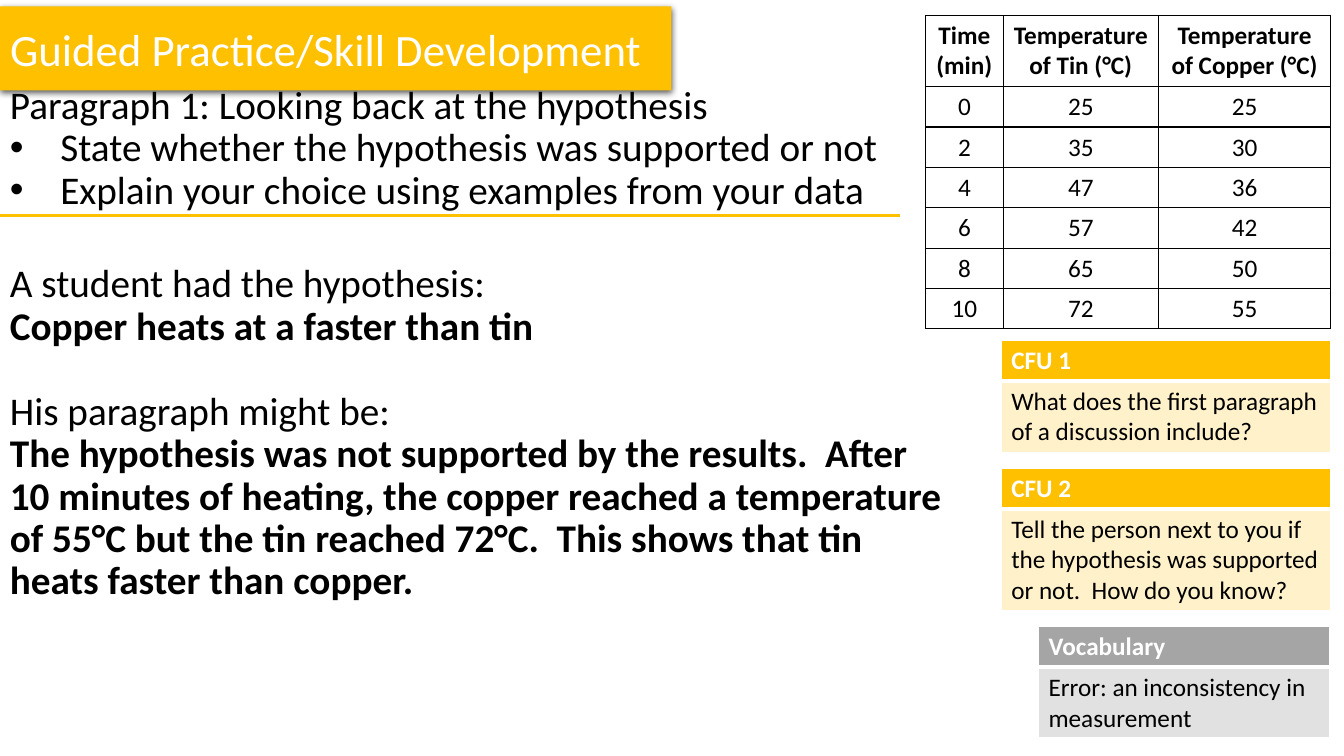
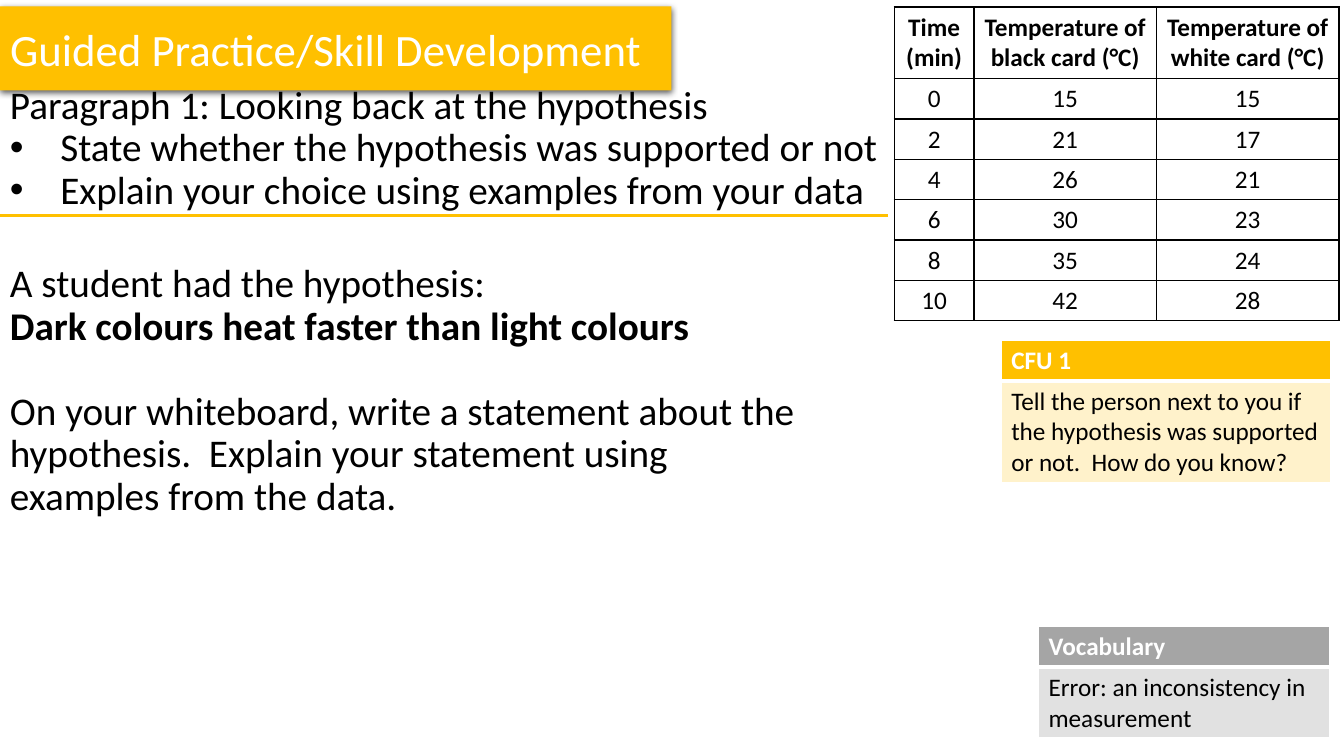
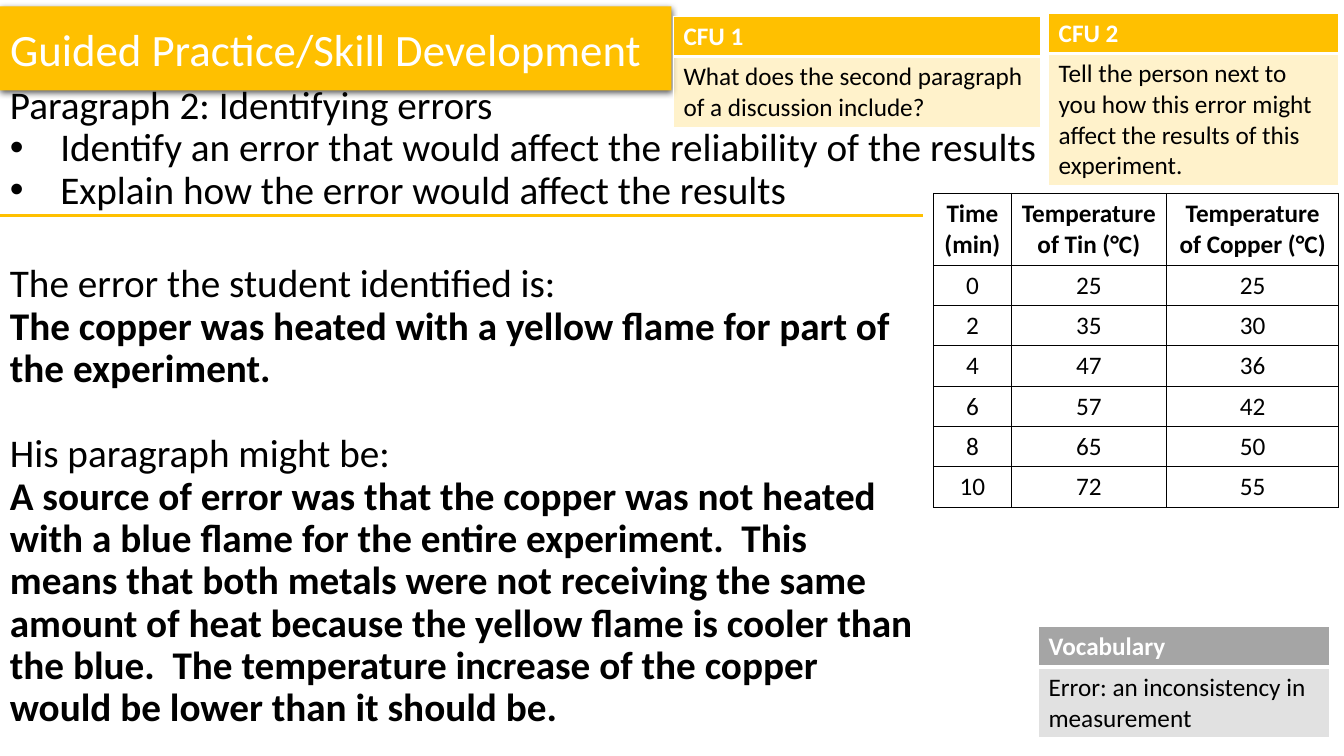
from dataclasses import dataclass

from lxml import etree
from pptx import Presentation
from pptx import util as u
from pptx.dml.color import RGBColor
from pptx.enum import shapes, text
from pptx.oxml import parse_xml
from pptx.oxml.ns import nsdecls, qn

FONT = "Calibri"
GOLD, PALE_GOLD = "FFC000", "FFE699"
GREY, PALE_GREY = "A5A5A5", "E1E1E1"
BLACK, WHITE = "000000", "FFFFFF"
TITLE = "Guided Practice/Skill Development"
RULE_TOP = 2.14
BODY_TOP = 2.57
BLANK_LINE = 30.7
HEADER_HEIGHT = 0.71


@dataclass
class Line:
    text: str
    bold: bool = False
    bullet: bool = False
    gap: bool = False


@dataclass
class Card:
    heading: str
    body: str
    left: float
    top: float
    width: float
    height: float
    heading_height: float = 0.39
    heading_fill: str = GOLD
    body_fill: str = PALE_GOLD
    body_alpha: int = 50


@dataclass
class Readings:
    headings: list[str]
    widths: list[float]
    rows: list[tuple[int, int, int]]


@dataclass
class Lesson:
    intro: list[Line]
    intro_width: float
    body: list[Line]
    body_width: float
    rule_width: float
    readings: Readings
    readings_left: float
    readings_top: float
    cards: list[Card]


def color(value: str) -> RGBColor:
    return RGBColor.from_string(value)


def style(paragraph, size: int, value: str, bold: bool = False) -> None:
    font = paragraph.font
    font.name, font.size, font.bold = FONT, u.Pt(size), bold
    font.color.rgb = color(value)


def add_title(slide) -> None:
    """Turn the title placeholder into the arrow-shaped banner."""
    title = slide.shapes.title
    title.left, title.top = u.Inches(0), u.Inches(0.16)
    title.width, title.height = u.Inches(6.66), u.Inches(0.64)
    title.fill.solid()
    title.fill.fore_color.rgb = color(GOLD)
    properties = title._element.spPr
    properties.find(qn("a:xfrm")).addnext(parse_xml(
        f'<a:prstGeom {nsdecls("a")} prst="homePlate"><a:avLst/></a:prstGeom>'))
    properties.append(parse_xml(
        f'<a:effectLst {nsdecls("a")}><a:outerShdw blurRad="57150" dist="19050" '
        f'dir="5400000" algn="ctr" rotWithShape="0"><a:srgbClr val="{BLACK}">'
        '<a:alpha val="63000"/></a:srgbClr></a:outerShdw></a:effectLst>'))
    frame = title.text_frame
    frame.text = TITLE
    frame.word_wrap = False
    frame.auto_size = text.MSO_AUTO_SIZE.SHAPE_TO_FIT_TEXT
    frame.paragraphs[0].alignment = text.PP_ALIGN.LEFT
    style(frame.paragraphs[0], 32, WHITE)


def add_bullet(paragraph) -> None:
    properties = paragraph._p.get_or_add_pPr()
    properties.set("marL", str(u.Inches(0.5)))
    properties.set("indent", str(-u.Inches(0.5)))
    etree.SubElement(properties, qn("a:buFont")).set("typeface", "Arial")
    etree.SubElement(properties, qn("a:buChar")).set("char", "•")


def add_lines(slide, lines: list[Line], top: float, width: float, height: float) -> None:
    box = slide.shapes.add_textbox(
        u.Inches(0), u.Inches(top), u.Inches(width), u.Inches(height))
    frame = box.text_frame
    frame.word_wrap = True
    for index, line in enumerate(lines):
        paragraph = frame.add_paragraph() if index else frame.paragraphs[0]
        paragraph.text = line.text
        if line.bullet:
            add_bullet(paragraph)
        paragraph.line_spacing = 0.9
        if line.gap:
            paragraph.space_before = u.Pt(BLANK_LINE)
        style(paragraph, 28, BLACK, line.bold)


def add_rule(slide, width: float) -> None:
    rule = slide.shapes.add_connector(
        shapes.MSO_CONNECTOR.STRAIGHT, u.Inches(0), u.Inches(RULE_TOP),
        u.Inches(width), u.Inches(RULE_TOP))
    rule.line.color.rgb = color(GOLD)
    rule.line.width = u.Pt(2.25)
    etree.SubElement(rule._element.spPr, qn("a:effectLst"))


def add_plain_table(slide, left: float, top: float,
                    widths: list[float], heights: list[float]):
    table = slide.shapes.add_table(
        len(heights), len(widths), u.Inches(left), u.Inches(top),
        u.Inches(sum(widths)), u.Inches(sum(heights))).table
    table.first_row = table.horz_banding = False
    for column, width in zip(table.columns, widths):
        column.width = u.Inches(width)
    for row, height in zip(table.rows, heights):
        row.height = u.Inches(height)
    return table


def set_borders(cell, value: str, top: float = 1, bottom: float = 1) -> None:
    sides = {"L": 1, "R": 1, "T": top, "B": bottom}
    properties = cell._tc.get_or_add_tcPr()
    for index, (side, points) in enumerate(sides.items()):
        properties.insert(index, parse_xml(
            f'<a:ln{side} {nsdecls("a")} w="{u.Pt(points)}"><a:solidFill>'
            f'<a:srgbClr val="{value}"/></a:solidFill></a:ln{side}>'))


def fill_cell(cell, value: str, alpha: int = 100) -> None:
    cell.fill.solid()
    cell.fill.fore_color.rgb = color(value)
    if alpha < 100:
        tint = cell._tc.tcPr.find(".//" + qn("a:srgbClr"))
        etree.SubElement(tint, qn("a:alpha")).set("val", str(alpha * 1000))


def add_card(slide, card: Card) -> None:
    table = add_plain_table(
        slide, card.left, card.top, [card.width],
        [card.heading_height, card.height - card.heading_height])
    heading, body = table.cell(0, 0), table.cell(1, 0)
    heading.text, body.text = card.heading, card.body
    style(heading.text_frame.paragraphs[0], 18, WHITE, True)
    style(body.text_frame.paragraphs[0], 18, BLACK)
    fill_cell(heading, card.heading_fill)
    fill_cell(body, card.body_fill, card.body_alpha)
    set_borders(heading, WHITE, bottom=3)
    set_borders(body, WHITE, top=3)


def add_readings(slide, readings: Readings, left: float, top: float) -> None:
    row_height = 0.4
    table = add_plain_table(slide, left, top, readings.widths,
                            [HEADER_HEIGHT] + [row_height] * len(readings.rows))
    for row, values in enumerate([readings.headings, *readings.rows]):
        for column, value in enumerate(values):
            cell = table.cell(row, column)
            cell.text = str(value)
            cell.vertical_anchor = text.MSO_ANCHOR.MIDDLE
            cell.fill.background()
            set_borders(cell, BLACK)
            paragraph = cell.text_frame.paragraphs[0]
            paragraph.alignment = text.PP_ALIGN.CENTER
            style(paragraph, 18, BLACK, row == 0)


def add_lesson(presentation, lesson: Lesson) -> None:
    slide = presentation.slides.add_slide(presentation.slide_layouts[5])
    add_title(slide)
    add_lines(slide, lesson.intro, 0.8, lesson.intro_width, 1.4)
    add_lines(slide, lesson.body, BODY_TOP, lesson.body_width, 4.8)
    add_rule(slide, lesson.rule_width)
    add_readings(slide, lesson.readings, lesson.readings_left, lesson.readings_top)
    for card in [*lesson.cards, VOCABULARY]:
        add_card(slide, card)


# Content shared between slides
VOCABULARY = Card("Vocabulary", "Error: an inconsistency in measurement",
                  10.3, 6.21, 2.89, 1.11, 0.41, GREY, PALE_GREY, 100)
HYPOTHESIS_INTRO = [
    Line("Paragraph 1: Looking back at the hypothesis"),
    Line("State whether the hypothesis was supported or not", bullet=True),
    Line("Explain your choice using examples from your data", bullet=True),
]
SUPPORTED = ("Tell the person next to you if the hypothesis was supported or not.  "
             "How do you know?")
METALS = Readings(
    ["Time (min)", "Temperature of Tin (°C)", "Temperature of Copper (°C)"],
    [0.77, 1.54, 1.71],
    [(0, 25, 25), (2, 35, 30), (4, 47, 36), (6, 57, 42), (8, 65, 50), (10, 72, 55)])
CARDS = Readings(
    ["Time (min)", "Temperature of black card (°C)", "Temperature of white card (°C)"],
    [0.79, 1.81, 1.81],
    [(0, 15, 15), (2, 21, 17), (4, 26, 21), (6, 30, 23), (8, 35, 24), (10, 42, 28)])

LESSONS = [
    # Worked example: hypothesis
    Lesson(
        HYPOTHESIS_INTRO, 10.06,
        [Line("A student had the hypothesis:"),
         Line("Copper heats at a faster than tin", bold=True),
         Line("His paragraph might be:", gap=True),
         Line("The hypothesis was not supported by the results.  After 10 minutes of "
              "heating, the copper reached a temperature of 55°C but the tin reached "
              "72°C.  This shows that tin heats faster than copper.", bold=True)],
        9.44, 8.93, METALS, 9.18, 0.15,
        [Card("CFU 1", "What does the first paragraph of a discussion include?",
              9.93, 3.38, 3.27, 1.1),
         Card("CFU 2", SUPPORTED, 9.93, 4.65, 3.27, 1.4)]),
    # Student practice: hypothesis
    Lesson(
        HYPOTHESIS_INTRO, 10.06,
        [Line("A student had the hypothesis:"),
         Line("Dark colours heat faster than light colours", bold=True),
         Line("On your whiteboard, write a statement about the hypothesis.  Explain "
              "your statement using examples from the data.", gap=True)],
        8.21, 8.81, CARDS, 8.87, 0.07,
        [Card("CFU 1", SUPPORTED, 9.93, 3.38, 3.27, 1.4)]),
    # Worked example: errors
    Lesson(
        [Line("Paragraph 2: Identifying errors"),
         Line("Identify an error that would affect the reliability of the results",
              bullet=True),
         Line("Explain how the error would affect the results", bullet=True)], 10.4,
        [Line("The error the student identified is:"),
         Line("The copper was heated with a yellow flame for part of the experiment.",
              bold=True),
         Line("His paragraph might be:", gap=True),
         Line("A source of error was that the copper was not heated with a blue flame "
              "for the entire experiment.  This means that both metals were not "
              "receiving the same amount of heat because the yellow flame is cooler "
              "than the blue.  The temperature increase of the copper would be lower "
              "than it should be.", bold=True)],
        9.15, 9.15, METALS, 9.26, 1.92,
        [Card("CFU 1", "What does the second paragraph of a discussion include?",
              6.68, 0.16, 3.64, 1.1),
         Card("CFU 2", "Tell the person next to you how this error might affect the "
              "results of this experiment.", 10.4, 0.13, 2.88, 1.7)]),
]


def main() -> None:
    presentation = Presentation()
    presentation.slide_width = u.Inches(13.33)
    presentation.slide_height = u.Inches(7.5)
    for lesson in LESSONS:
        add_lesson(presentation, lesson)
    presentation.save("out.pptx")


if __name__ == "__main__":
    main()
